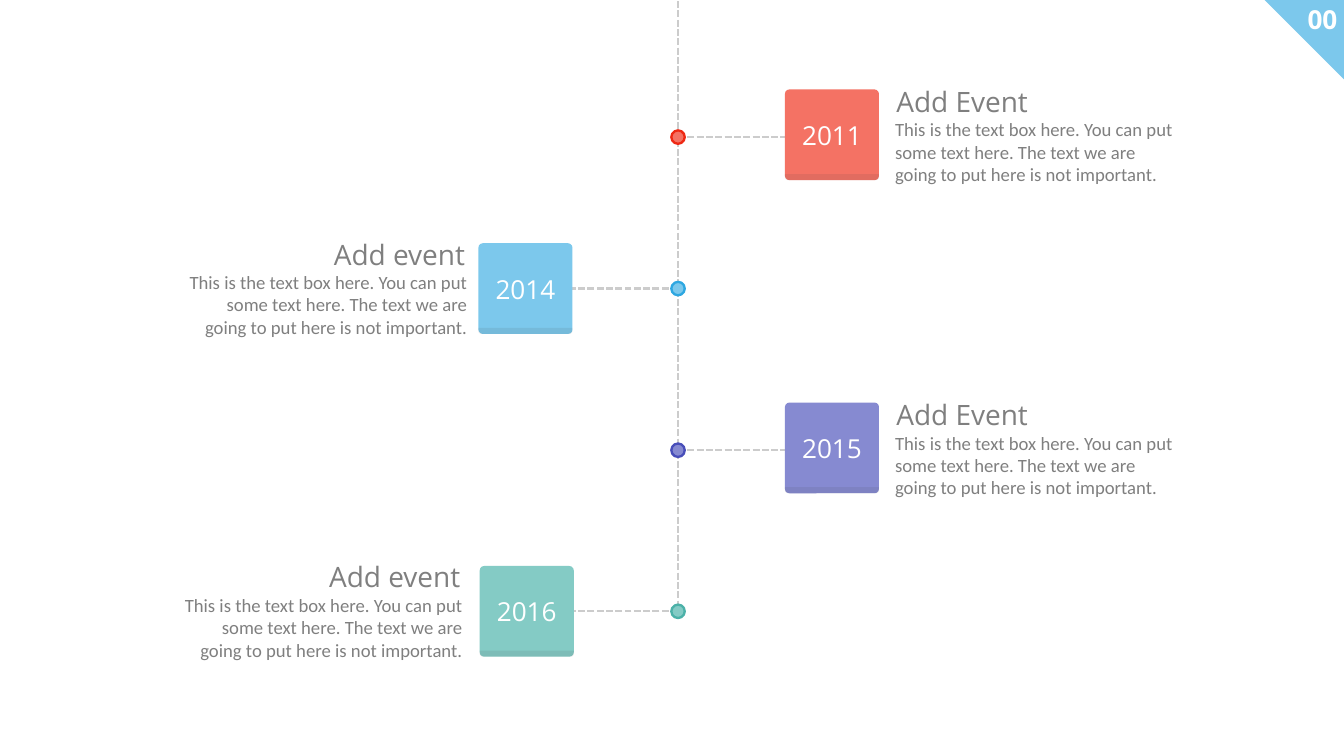
from pptx import Presentation
from pptx.dml.color import RGBColor
from pptx.enum.dml import MSO_LINE
from pptx.enum.shapes import MSO_CONNECTOR, MSO_SHAPE as SHAPE
from pptx.enum.text import MSO_ANCHOR as ANCHOR, MSO_AUTO_SIZE, PP_ALIGN as ALIGN
from pptx.oxml.ns import qn
from pptx.util import Pt
from lxml.etree import SubElement

WHITE = RGBColor(0xFF, 0xFF, 0xFF)
GRAY = RGBColor(0x7F, 0x7F, 0x7F)
LINE_GRAY = RGBColor(0xCC, 0xCC, 0xCC)
SHADE = RGBColor(0x40, 0x40, 0x40)
RED, DARK_RED = RGBColor(0xF4, 0x72, 0x64), RGBColor(0xEE, 0x29, 0x14)
BLUE, DARK_BLUE = RGBColor(0x7C, 0xC8, 0xEC), RGBColor(0x2D, 0xA7, 0xE1)
VIOLET, DARK_VIOLET = RGBColor(0x86, 0x8A, 0xD1), RGBColor(0x48, 0x4E, 0xB9)
TEAL, DARK_TEAL = RGBColor(0x84, 0xCB, 0xC5), RGBColor(0x4B, 0xB1, 0xA8)

HEAD_FONT, BODY_FONT = "Open Sans", "Calibri"
BODY = ("This is the text box here. You can put some text here. "
        "The text we are going to put here is not important.")

AXIS = 726.5
DOT = 14.4
BOX_W, BOX_H, EDGE_H = 100.8, 97.2, 6.5
TITLE_W, TITLE_H = 156.5, 44
BODY_W, BODY_H = 316.8, 80

# year, title, fill, dot outline, box left, box top, dot centre, gap to title
EVENTS = [
    ("2011", "Add Event", RED, DARK_RED, 841, 95.8, 146.9, 11.5),
    ("2014", "Add event", BLUE, DARK_BLUE, 512.6, 260.6, 309.2, 7.2),
    ("2015", "Add Event", VIOLET, DARK_VIOLET, 841, 431.3, 482.4, 11.5),
    ("2016", "Add event", TEAL, DARK_TEAL, 514, 606.4, 655, 13.7),
]
AXIS_PARTS = [(-12, 146.9), (139.7, 310.3), (310.3, 480.2), (483.8, 653.8)]


def write(s, text, size=28, font=HEAD_FONT, color=WHITE, bold=False,
          align=ALIGN.LEFT, anchor=ANCHOR.TOP, wrap=True):
    tf = s.text_frame
    tf.word_wrap = wrap
    tf.vertical_anchor = anchor
    p = tf.paragraphs[0]
    p.alignment = align
    r = p.add_run()
    r.text = text
    r.font.size, r.font.name, r.font.bold = Pt(size), font, bold
    r.font.color.rgb = color


def add_text(slide, x, y, w, h, text, **fmt):
    s = slide.shapes.add_textbox(Pt(x), Pt(y), Pt(w), Pt(h))
    write(s, text, **fmt)
    s.text_frame.auto_size = MSO_AUTO_SIZE.SHAPE_TO_FIT_TEXT


def add_shape(slide, kind, x, y, w, h, fill, adj=(), line=None, alpha=None):
    s = slide.shapes.add_shape(kind, Pt(x), Pt(y), Pt(w), Pt(h))
    s.shadow.inherit = False
    for i, value in enumerate(adj):
        s.adjustments[i] = value
    s.fill.solid()
    s.fill.fore_color.rgb = fill
    if alpha is not None:
        clr = s._element.spPr.find(qn("a:solidFill"))[0]
        SubElement(clr, qn("a:alpha")).set("val", str(alpha * 1000))
    if line is None:
        s.line.fill.background()
    else:
        s.line.color.rgb = line
        s.line.width = Pt(2.5)
    return s


def add_dashed_line(slide, x1, y1, x2, y2, oval_ends=False):
    c = slide.shapes.add_connector(
        MSO_CONNECTOR.STRAIGHT, Pt(x1), Pt(y1), Pt(x2), Pt(y2))
    c.line.color.rgb = LINE_GRAY
    c.line.width = Pt(2.5)
    c.line.dash_style = MSO_LINE.SQUARE_DOT
    if oval_ends:
        for end in ("a:headEnd", "a:tailEnd"):
            SubElement(c.line._get_or_add_ln(), qn(end)).set("type", "oval")
    SubElement(c._element.spPr, qn("a:effectLst"))
    return c


def add_corner(slide):
    s = add_shape(slide, SHAPE.ISOSCELES_TRIANGLE, 1355, 0, 85, 85, BLUE, adj=[0])
    s.rotation = 180
    add_text(slide, 1393.2, 0, 46.8, 41, "00", bold=True,
             align=ALIGN.RIGHT, wrap=False)


def add_event(slide, year, title, fill, outline, x, y, dot_y, gap):
    on_left = x < AXIS

    # Branch and dot on the axis
    branch = add_dashed_line(slide, AXIS, dot_y, x + BOX_W if on_left else x, dot_y)
    add_shape(slide, SHAPE.OVAL, AXIS - DOT / 2, dot_y - DOT / 2, DOT, DOT,
              fill, line=outline)

    # Title and description on the outer side of the box
    if on_left:
        align, title_y = ALIGN.RIGHT, y - 10
        title_x = x - gap - TITLE_W
        body_x = x - gap + 2.2 - BODY_W
    else:
        align, title_y = ALIGN.LEFT, y - 8.6
        title_x = x + BOX_W + gap
        body_x = title_x - 1.4
    add_text(slide, title_x, title_y, TITLE_W, TITLE_H, title, size=30,
             color=GRAY, align=align, wrap=False)
    add_text(slide, body_x, title_y + 36, BODY_W, BODY_H, BODY, size=20,
             font=BODY_FONT, color=GRAY, align=align)

    # Year box with a darker lower edge
    box = add_shape(slide, SHAPE.ROUNDED_RECTANGLE, x, y, BOX_W, BOX_H, fill,
                    adj=[0.049])
    write(box, year, align=ALIGN.CENTER, anchor=ANCHOR.MIDDLE)
    add_shape(slide, SHAPE.ROUND_2_SAME_RECTANGLE, x, y + BOX_H - EDGE_H,
              BOX_W, EDGE_H, SHADE, adj=[0, 0.5], alpha=10)
    if on_left:
        branch.end_connect(box, 3)


def main():
    prs = Presentation()
    prs.slide_width, prs.slide_height = Pt(1440), Pt(810)
    slide = prs.slides.add_slide(prs.slide_layouts[6])

    add_corner(slide)

    # Vertical axis
    for i, (top, bottom) in enumerate(AXIS_PARTS):
        add_dashed_line(slide, AXIS, top, AXIS, bottom, oval_ends=i == 0)

    for event in EVENTS:
        add_event(slide, *event)

    prs.save("out.pptx")


if __name__ == "__main__":
    main()
